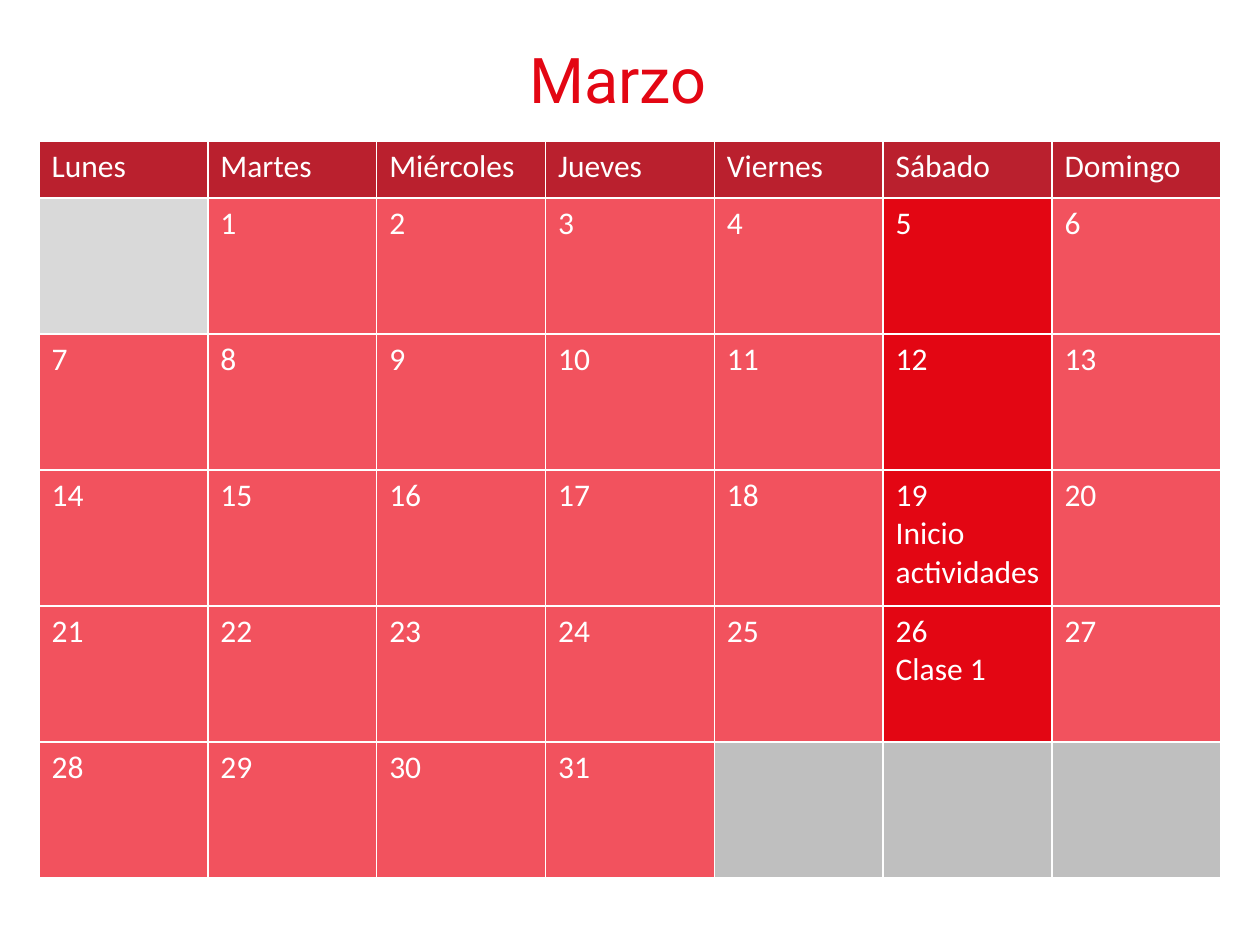
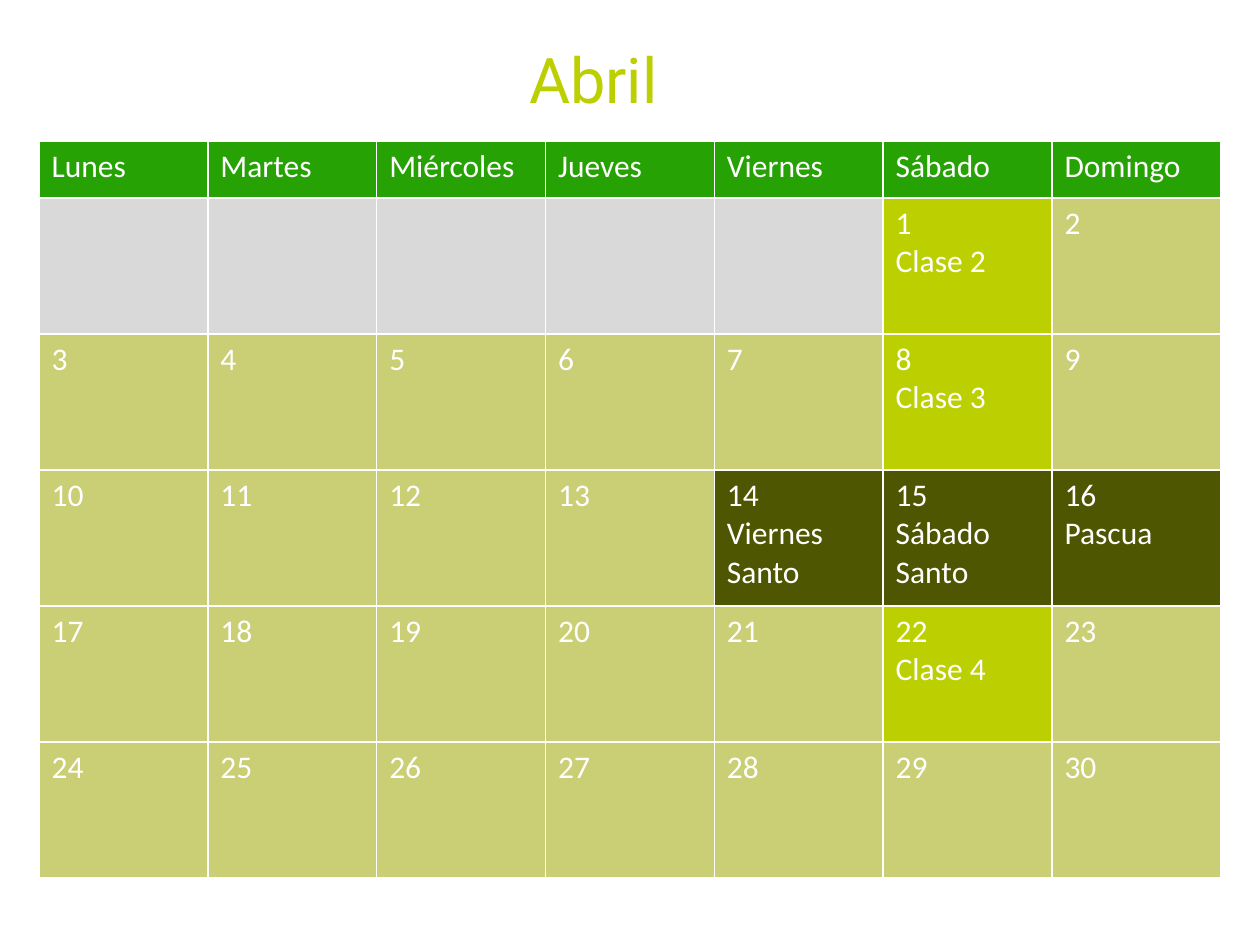
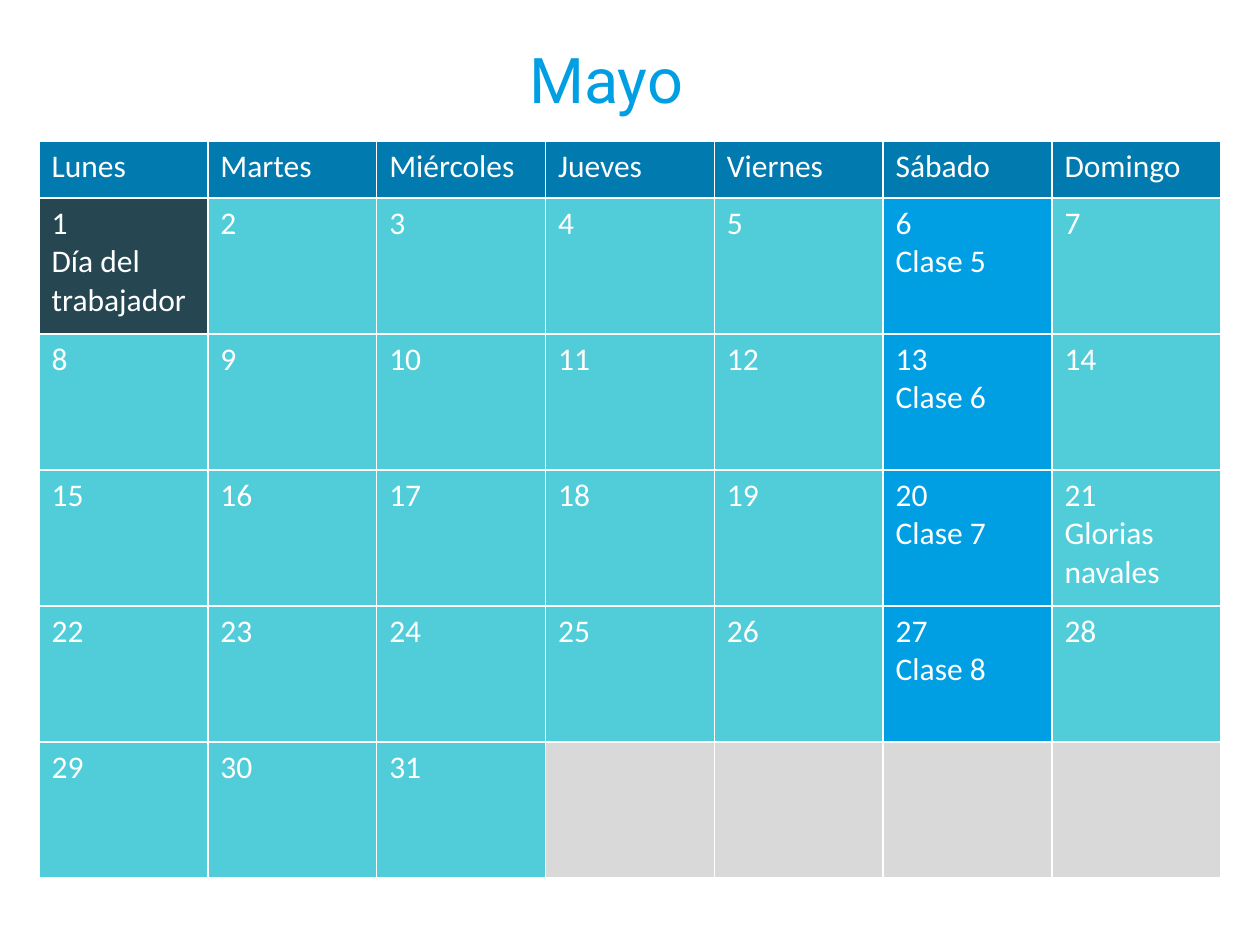
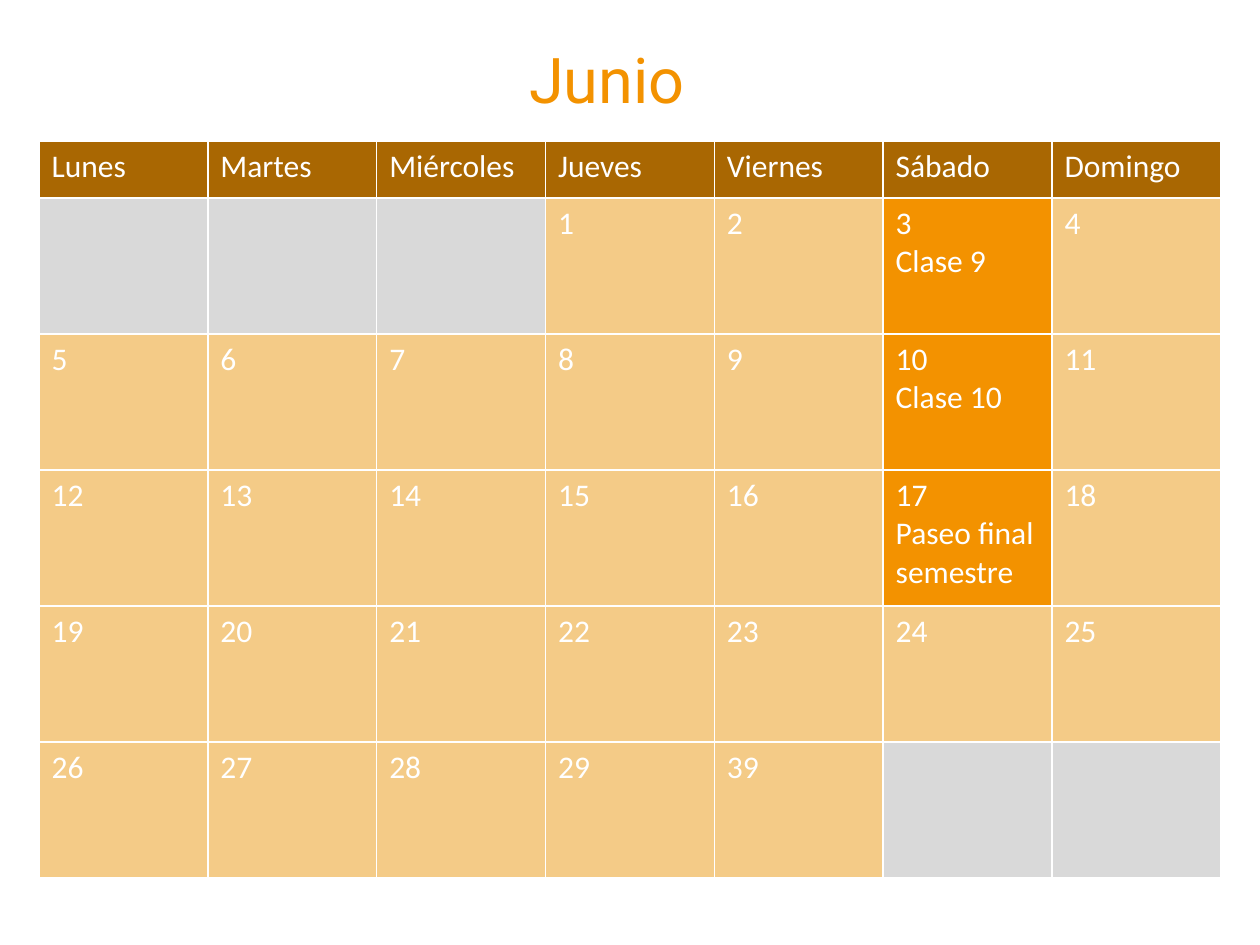
from lxml.etree import SubElement
from pptx import Presentation
from pptx.dml.color import RGBColor
from pptx.enum.text import MSO_ANCHOR, MSO_AUTO_SIZE, PP_ALIGN
from pptx.oxml.ns import qn
from pptx.util import Inches, Pt

WHITE = "FFFFFF"
LIGHT_GREY = "D9D9D9"
MID_GREY = "BFBFBF"
WEEKDAYS = ["Lunes", "Martes", "Miércoles", "Jueves", "Viernes", "Sábado", "Domingo"]
WEEKS = 5
COLUMN_WIDTH = 1.34
HEADER_HEIGHT = 0.45
WEEK_HEIGHT = 1.08

# "start" is the column of day 1. Days in "activities" take the accent colour,
# days in "holidays" the holiday colour, and days in "notes" stay plain.
MONTHS = [
    {
        "name": "Marzo", "title_width": 1.72, "start": 1, "days": range(1, 32),
        "header": "BA202E", "plain": "F2525E", "accent": "E30613", "after": MID_GREY,
        "activities": {5: "", 12: "", 19: "Inicio actividades", 26: "Clase 1"},
    },
    {
        "name": "Abril", "title_width": 1.53, "start": 5, "days": range(1, 31),
        "header": "27A204", "plain": "CACE74", "accent": "BCCF00", "holiday": "4E5601",
        "activities": {1: "Clase 2", 8: "Clase 3", 22: "Clase 4"},
        "holidays": {14: "Viernes Santo", 15: "Sábado Santo", 16: "Pascua"},
    },
    {
        "name": "Mayo", "title_width": 1.5, "start": 0, "days": range(1, 32),
        "header": "007AAF", "plain": "50CDD9", "accent": "009FE3", "holiday": "264751",
        "activities": {6: "Clase 5", 13: "Clase 6", 20: "Clase 7", 27: "Clase 8"},
        "holidays": {1: "Día del trabajador"},
        "notes": {21: "Glorias navales"},
    },
    {
        "name": "Junio", "title_width": 1.57, "start": 3, "days": [*range(1, 30), 39],
        "header": "A96702", "plain": "F4CB87", "accent": "F39200",
        "activities": {3: "Clase 9", 10: "Clase 10", 17: "Paseo final semestre"},
    },
]


def color(value):
    """Return the colour of a hex string."""
    return RGBColor.from_string(value)


def format_cell(cell, text, fill):
    """Write a cell's text and give it white borders and a fill."""
    properties = cell._tc.get_or_add_tcPr()
    for side in ("a:lnL", "a:lnR", "a:lnT", "a:lnB"):
        line = SubElement(properties, qn(side), w=str(Pt(1)))
        SubElement(SubElement(line, qn("a:solidFill")), qn("a:srgbClr"), val=WHITE)
    cell.fill.solid()
    cell.fill.fore_color.rgb = color(fill)
    cell.text = text
    for paragraph in cell.text_frame.paragraphs:
        paragraph.font.size = Pt(18)
        paragraph.font.name = "Calibri"
        paragraph.font.color.rgb = color(WHITE)


presentation = Presentation()
presentation.slide_width = Inches(10)
presentation.slide_height = Inches(7.5)
title_only = presentation.slide_layouts[5]

for month in MONTHS:
    slide = presentation.slides.add_slide(title_only)

    title = slide.shapes.title
    title.left, title.top = Inches(4.1), Inches(0.27)
    title.width, title.height = Inches(month["title_width"]), Inches(0.71)
    title.text_frame.text = month["name"]
    title.text_frame.auto_size = MSO_AUTO_SIZE.NONE
    title.text_frame.vertical_anchor = MSO_ANCHOR.TOP
    paragraph = title.text_frame.paragraphs[0]
    paragraph.alignment = PP_ALIGN.LEFT
    paragraph.font.size = Pt(36)
    paragraph.font.name = "Roboto"
    paragraph.font.color.rgb = color(month["accent"])

    table = slide.shapes.add_table(
        WEEKS + 1, len(WEEKDAYS), Inches(0.31), Inches(1.12),
        Inches(COLUMN_WIDTH * len(WEEKDAYS)),
        Inches(HEADER_HEIGHT + WEEK_HEIGHT * WEEKS),
    ).table
    table.first_row = False
    table.horz_banding = False
    for column in table.columns:
        column.width = Inches(COLUMN_WIDTH)
    for row in table.rows:
        row.height = Inches(WEEK_HEIGHT)
    table.rows[0].height = Inches(HEADER_HEIGHT)

    for index, weekday in enumerate(WEEKDAYS):
        format_cell(table.cell(0, index), weekday, month["header"])

    activities = month["activities"]
    holidays = month.get("holidays", {})
    notes = {**activities, **holidays, **month.get("notes", {})}
    for position in range(WEEKS * len(WEEKDAYS)):
        week, weekday = divmod(position, len(WEEKDAYS))
        cell = table.cell(week + 1, weekday)
        index = position - month["start"]
        if index < 0:
            format_cell(cell, "", LIGHT_GREY)
        elif index >= len(month["days"]):
            format_cell(cell, "", month.get("after", LIGHT_GREY))
        else:
            day = month["days"][index]
            note = notes.get(day)
            if day in holidays:
                fill = month["holiday"]
            elif day in activities:
                fill = month["accent"]
            else:
                fill = month["plain"]
            format_cell(cell, f"{day}\n{note}" if note else str(day), fill)

presentation.save("out.pptx")
